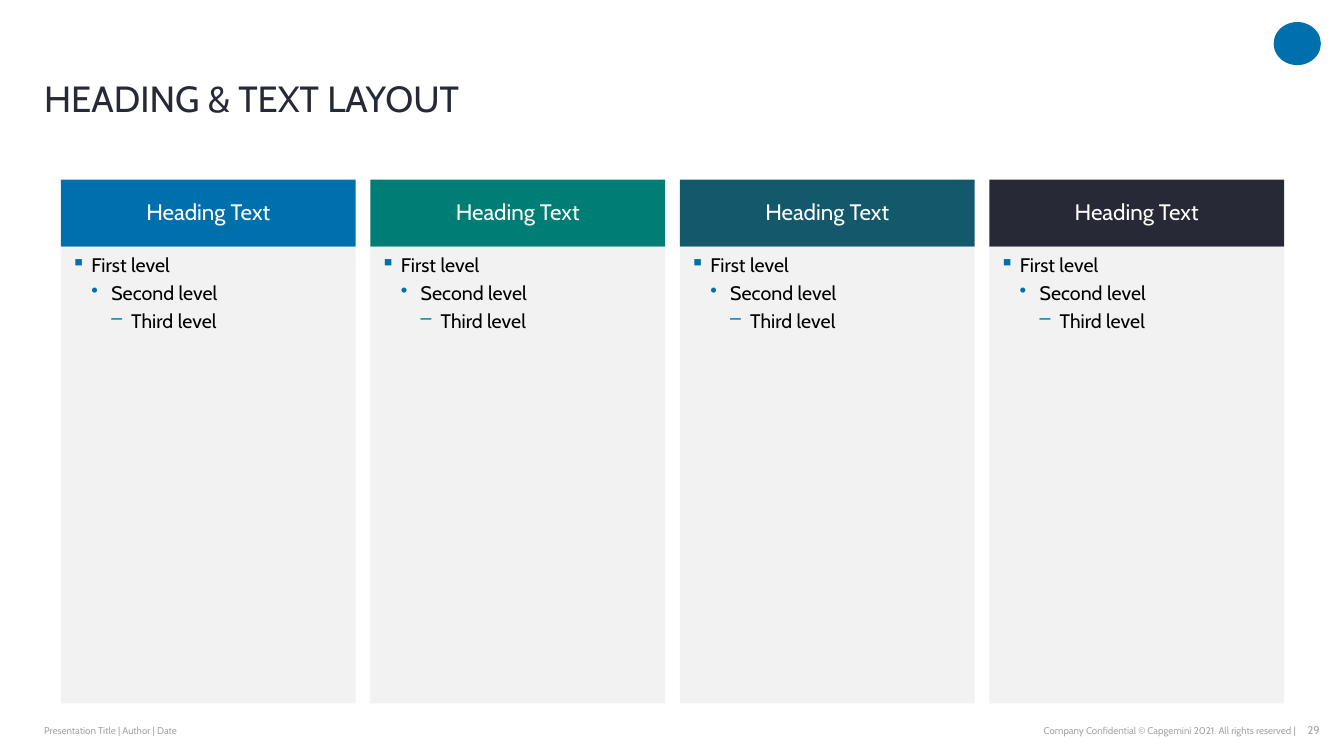
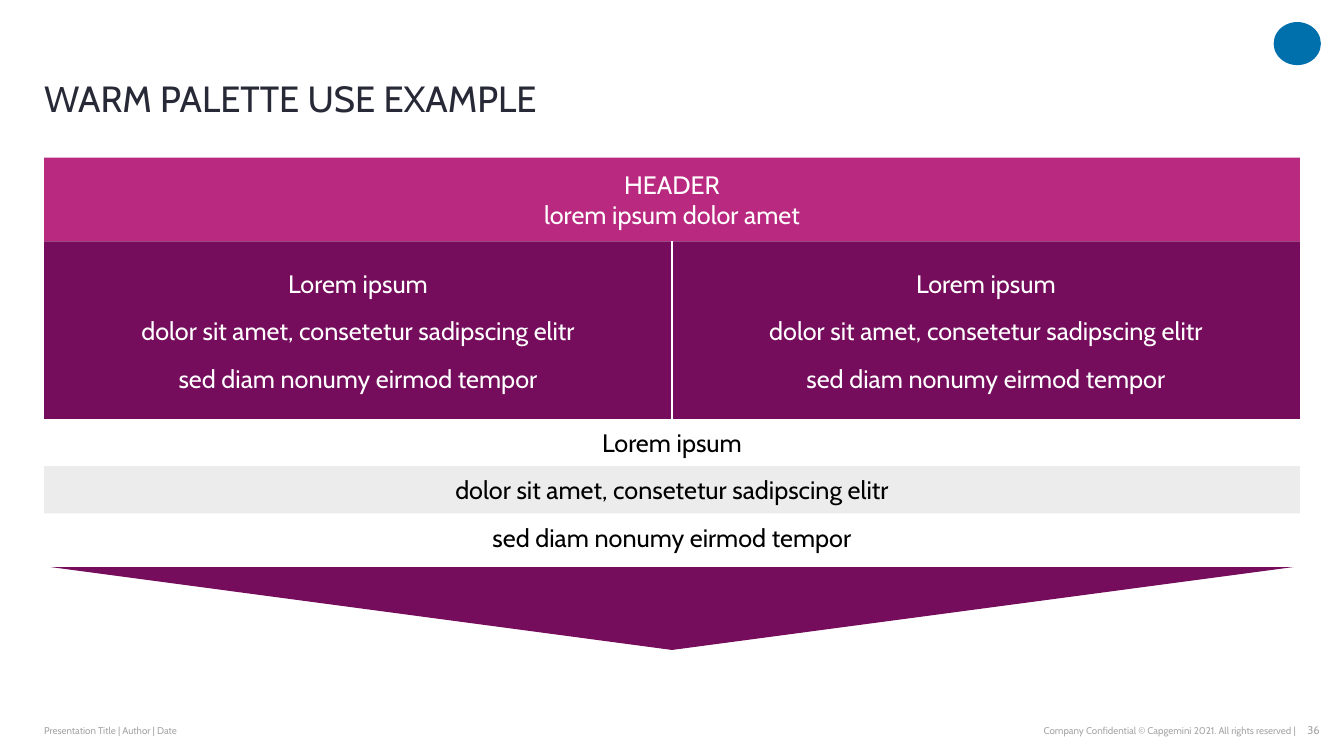
from lxml import etree
from pptx import Presentation
from pptx.dml.color import RGBColor
from pptx.enum.shapes import MSO_CONNECTOR, MSO_SHAPE
from pptx.enum.text import MSO_ANCHOR, PP_ALIGN
from pptx.oxml.ns import qn
from pptx.util import Pt

EMU_PER_PX = 9525
SLIDE_WIDTH, SLIDE_HEIGHT = 1280, 720
FONT = "Cabin"

WHITE, BLACK, INK = "FFFFFF", "000000", "272936"
BLUE, GREEN, TEAL = "0070AD", "007D74", "14596B"
MAGENTA, PLUM = "BA2980", "750D5C"
PANEL_GREY, ROW_GREY, FOOTER_GREY = "F2F2F2", "ECECEC", "A6A6A6"

RECTANGLE, OVAL = MSO_SHAPE.RECTANGLE, MSO_SHAPE.OVAL
TRIANGLE = MSO_SHAPE.ISOSCELES_TRIANGLE
STRAIGHT = MSO_CONNECTOR.STRAIGHT
LEFT, CENTER, RIGHT = PP_ALIGN.LEFT, PP_ALIGN.CENTER, PP_ALIGN.RIGHT
TOP, MIDDLE, BOTTOM = MSO_ANCHOR.TOP, MSO_ANCHOR.MIDDLE, MSO_ANCHOR.BOTTOM

MARGIN = 42
FOOTER_TOP, FOOTER_HEIGHT = 684, 23

COLUMN_COLORS = [BLUE, GREEN, TEAL, INK]
COLUMNS_LEFT, COLUMNS_RIGHT, COLUMN_GAP = 58, 1223, 14
HEADING_TOP, HEADING_HEIGHT, BODY_HEIGHT = 171, 64, 435
LEVELS = [("▪", "First level"), ("•", "Second level"), ("–", "Third level")]
INDENT = 19

BANDS_WIDTH = SLIDE_WIDTH - 2 * MARGIN
HEADER_TOP, PANEL_TOP, ROWS_TOP = 150, 230, 399
ROW_HEIGHT = 45
LOREM = [
    "Lorem ipsum",
    "dolor sit amet, consetetur sadipscing elitr",
    "sed diam nonumy eirmod tempor",
]


def px(length):
    return round(length * EMU_PER_PX)


def color(hex_string):
    return RGBColor.from_string(hex_string)


def add_box(page, left, top, width, height, fill, preset=RECTANGLE):
    box = page.shapes.add_shape(preset, px(left), px(top), px(width), px(height))
    box.shadow.inherit = False
    box.fill.solid()
    box.fill.fore_color.rgb = color(fill)
    box.line.fill.background()
    return box


def add_text_box(page, left, top, width, height):
    return page.shapes.add_textbox(px(left), px(top), px(width), px(height))


def write(box, lines, size, ink, align=CENTER, anchor=MIDDLE,
          inset=(0, 0), space_after=0, line_spacing=1):
    frame = box.text_frame
    frame.word_wrap = True
    frame.vertical_anchor = anchor
    frame.margin_left = frame.margin_right = px(inset[0])
    frame.margin_top = frame.margin_bottom = px(inset[1])
    frame.text = "\n".join(lines)
    for para in frame.paragraphs:
        para.alignment = align
        para.space_after = Pt(space_after)
        para.line_spacing = line_spacing
        para.font.name = FONT
        para.font.size = Pt(size)
        para.font.color.rgb = color(ink)


def add_bullet(para, level, mark):
    para.level = level
    properties = para._p.get_or_add_pPr()
    properties.set("marL", str(px(INDENT * (level + 1))))
    properties.set("indent", str(px(-INDENT)))
    bullet_color = etree.SubElement(properties, qn("a:buClr"))
    etree.SubElement(bullet_color, qn("a:srgbClr"), val=BLUE)
    etree.SubElement(properties, qn("a:buChar"), char=mark)


def write_levels(box):
    frame = box.text_frame
    frame.text = "\n".join(label for _, label in LEVELS)
    for level, (mark, _) in enumerate(LEVELS):
        add_bullet(frame.paragraphs[level], level, mark)
    for para in frame.paragraphs[1:]:
        para.space_before = Pt(3)
    frame.word_wrap = True
    frame.vertical_anchor = TOP
    frame.margin_left = frame.margin_right = px(10)
    frame.margin_top = frame.margin_bottom = px(6)
    for para in frame.paragraphs:
        para.alignment = LEFT
        para.font.name = FONT
        para.font.size = Pt(14)
        para.font.color.rgb = color(BLACK)


def add_footer_text(page, left, width, text, size, align):
    box = add_text_box(page, left, FOOTER_TOP, width, FOOTER_HEIGHT)
    write(box, [text], size, FOOTER_GREY, align)


def add_page(deck, title, number):
    page = deck.slides.add_slide(deck.slide_layouts[6])
    add_box(page, 1213, 21, 45, 41, BLUE, OVAL)
    add_footer_text(page, MARGIN, 358, "Presentation Title | Author | Date", 7, LEFT)
    add_footer_text(
        page, 758, 476,
        "Company Confidential © Capgemini 2021. All rights reserved |", 7, RIGHT)
    add_footer_text(page, 1233, 24, str(number), 8, RIGHT)
    title_box = add_text_box(page, MARGIN, 40, 1149, 75)
    write(title_box, [title], 26, INK, LEFT, BOTTOM, line_spacing=0.9)
    return page


def add_divider(page, x, top, bottom):
    line = page.shapes.add_connector(STRAIGHT, px(x), px(top), px(x), px(bottom))
    line.line.color.rgb = color(WHITE)
    line.line.width = Pt(1)
    etree.SubElement(line._element.spPr, qn("a:effectLst"))


def add_columns_page(deck):
    page = add_page(deck, "HEADING & TEXT LAYOUT", 29)
    count = len(COLUMN_COLORS)
    width = (COLUMNS_RIGHT - COLUMNS_LEFT - COLUMN_GAP * (count - 1)) / count
    for index, fill in enumerate(COLUMN_COLORS):
        left = COLUMNS_LEFT + index * (width + COLUMN_GAP)
        heading = add_box(page, left, HEADING_TOP, width, HEADING_HEIGHT, fill)
        write(heading, ["Heading Text"], 16, WHITE, line_spacing=0.9)
        body = add_box(page, left, HEADING_TOP + HEADING_HEIGHT, width,
                       BODY_HEIGHT, PANEL_GREY)
        write_levels(body)


def add_palette_page(deck):
    page = add_page(deck, "WARM PALETTE USE EXAMPLE", 36)
    arrow = add_box(page, 48, 540, 1184, 79, PLUM, TRIANGLE)
    arrow.rotation = 180

    header = add_box(page, MARGIN, HEADER_TOP, BANDS_WIDTH,
                     PANEL_TOP - HEADER_TOP, MAGENTA)
    write(header, ["HEADER", "lorem ipsum dolor amet"], 18, WHITE, inset=(10, 5))

    add_box(page, MARGIN, PANEL_TOP, BANDS_WIDTH, ROWS_TOP - PANEL_TOP, PLUM)
    half = BANDS_WIDTH / 2
    for index in range(2):
        text_box = add_text_box(page, MARGIN + index * half, 251, half, 130)
        write(text_box, LOREM, 18, WHITE, anchor=TOP, inset=(10, 5), space_after=12)
    add_divider(page, MARGIN + half, PANEL_TOP, ROWS_TOP)

    for index, line in enumerate(LOREM):
        area = (MARGIN, ROWS_TOP + index * ROW_HEIGHT, BANDS_WIDTH, ROW_HEIGHT)
        if index % 2:
            row = add_box(page, *area, ROW_GREY)
        else:
            row = add_text_box(page, *area)
        write(row, [line], 18, BLACK, inset=(10, 8))


def main():
    deck = Presentation()
    deck.slide_width = px(SLIDE_WIDTH)
    deck.slide_height = px(SLIDE_HEIGHT)
    add_columns_page(deck)
    add_palette_page(deck)
    deck.save("out.pptx")


if __name__ == "__main__":
    main()
